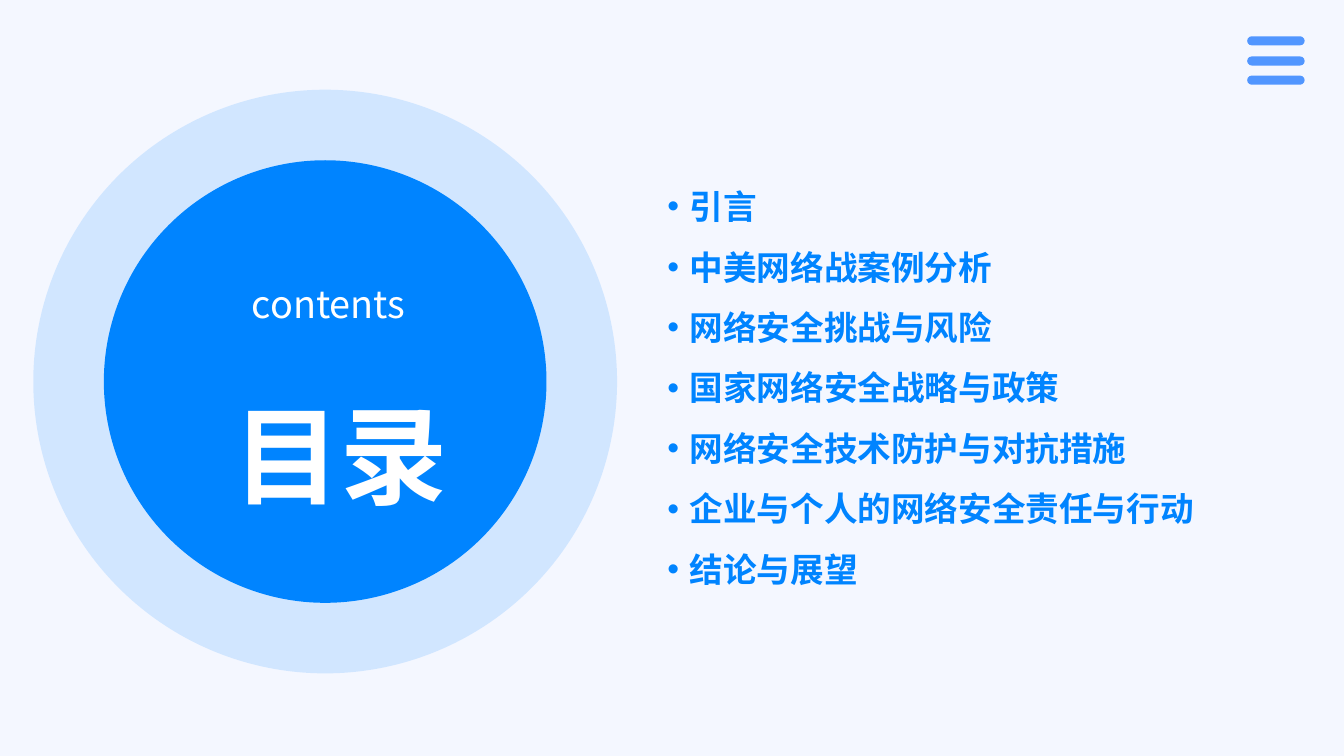
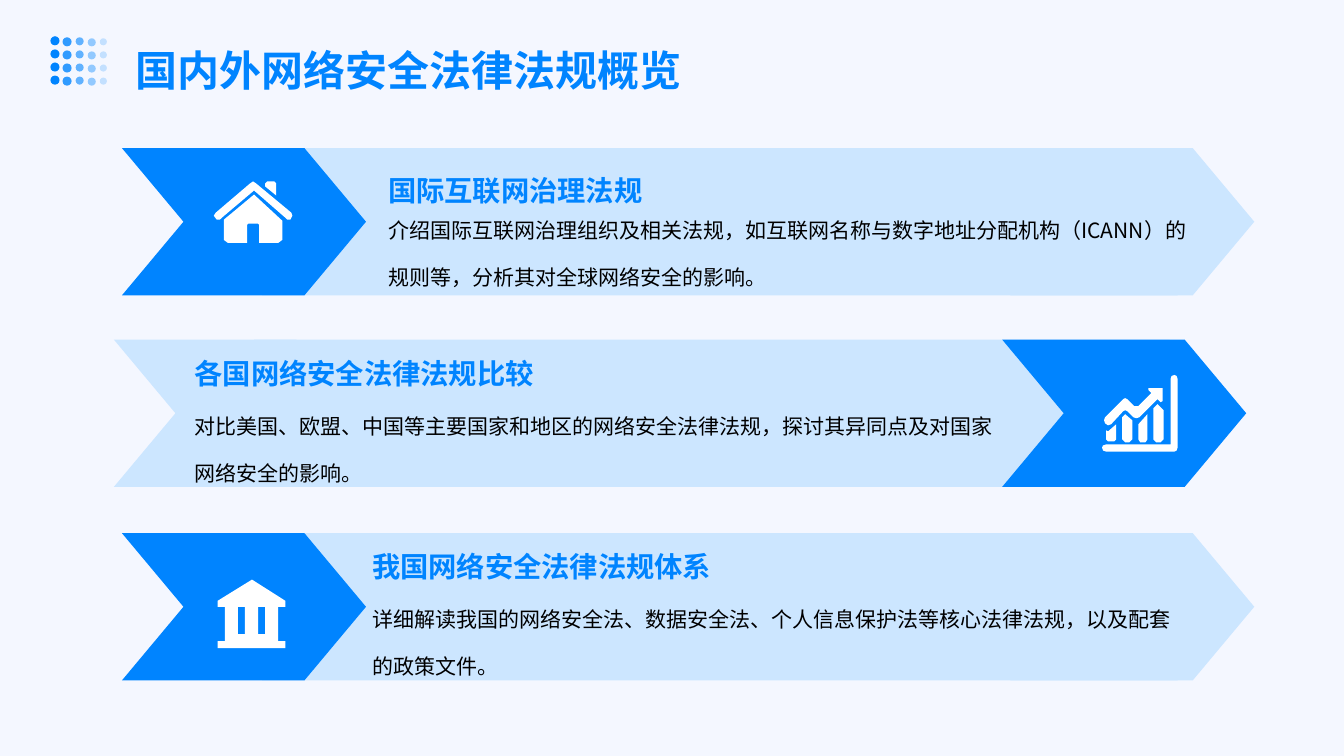
from dataclasses import dataclass

from lxml.etree import SubElement
from pptx import Presentation
from pptx.dml.color import RGBColor
from pptx.enum.shapes import MSO_SHAPE
from pptx.enum.text import MSO_ANCHOR, MSO_AUTO_SIZE, PP_ALIGN
from pptx.oxml.ns import qn
from pptx.presentation import Presentation as Deck
from pptx.shapes.autoshape import Shape
from pptx.slide import Slide
from pptx.util import Emu, Pt

PX = 9144


@dataclass(frozen=True)
class Theme:
    font: str = "Noto Sans CJK SC"
    background: str = "F4F7FF"
    primary: str = "0084FF"
    pale: str = "CCE6FF"
    menu: str = "5196FF"
    white: str = "FFFFFF"
    black: str = "000000"
    display_size: float = 76.5
    title_size: float = 30
    caption_size: float = 27
    list_size: float = 24
    heading_size: float = 20.2
    body_size: float = 15


THEME = Theme()


@dataclass(frozen=True)
class Box:
    left: int
    top: int
    width: int
    height: int

    def emu(self) -> tuple[Emu, ...]:
        return tuple(Emu(value * PX) for value in (self.left, self.top, self.width, self.height))


@dataclass(frozen=True)
class TextStyle:
    size: float
    color: str
    spacing: float
    bold: bool = False
    align: PP_ALIGN = PP_ALIGN.LEFT
    anchor: MSO_ANCHOR = MSO_ANCHOR.TOP
    insets: tuple[int, int, int, int] = (14, 14, 6, 14)
    grow: bool = True
    bullet: bool = False


CARD_INSETS = (7, 4, 7, 4)
TITLE = TextStyle(THEME.title_size, THEME.primary, 1.4, bold=True)
DISPLAY = TextStyle(THEME.display_size, THEME.white, 1.86, bold=True, align=PP_ALIGN.CENTER)
CAPTION = TextStyle(THEME.caption_size, THEME.white, 1.86, align=PP_ALIGN.CENTER)
AGENDA = TextStyle(
    THEME.list_size, THEME.primary, 1.5, bold=True, anchor=MSO_ANCHOR.MIDDLE, bullet=True
)
HEADING = TextStyle(
    THEME.heading_size, THEME.primary, 1.5, bold=True,
    anchor=MSO_ANCHOR.BOTTOM, insets=CARD_INSETS, grow=False,
)
HEADING_MIDDLE = TextStyle(
    THEME.heading_size, THEME.primary, 1.5, bold=True,
    anchor=MSO_ANCHOR.MIDDLE, insets=CARD_INSETS, grow=False,
)
BODY = TextStyle(
    THEME.body_size, THEME.black, 1.86,
    anchor=MSO_ANCHOR.MIDDLE, insets=CARD_INSETS, grow=False,
)

Points = tuple[tuple[int, int], ...]


def rectangle(left: int, top: int, right: int, bottom: int) -> Points:
    return (left, top), (right, top), (right, bottom), (left, bottom)


HOUSE: tuple[Points, ...] = (
    ((263, 182), (265, 180), (272, 180), (274, 182), (274, 194), (263, 185)),
    (
        (248, 182), (251, 180), (254, 182), (289, 211), (290, 214), (288, 218), (285, 218),
        (283, 216), (252, 189), (220, 216), (218, 218), (215, 218), (212, 214), (214, 211),
    ),
    (
        (222, 218), (252, 193), (280, 219), (280, 238), (276, 241), (257, 241),
        (257, 223), (256, 222), (246, 222), (245, 223), (245, 241), (226, 241), (222, 238),
    ),
)
GROWTH: tuple[Points, ...] = (
    ((1097, 427), (1099, 428), (1107, 421), (1107, 436), (1105, 438), (1099, 438), (1097, 436)),
    ((1113, 414), (1116, 411), (1123, 417), (1123, 436), (1120, 439), (1116, 439), (1113, 436)),
    ((1129, 421), (1138, 411), (1138, 436), (1136, 439), (1131, 439), (1129, 436)),
    ((1144, 405), (1148, 401), (1154, 407), (1154, 436), (1151, 439), (1147, 439), (1144, 436)),
    (
        (1095, 417), (1096, 414), (1114, 396), (1116, 395), (1118, 396), (1125, 403),
        (1129, 403), (1142, 390), (1139, 387), (1139, 385), (1153, 385), (1153, 398),
        (1151, 399), (1148, 396), (1130, 414), (1127, 415), (1124, 414), (1118, 408),
        (1116, 407), (1114, 408), (1102, 421), (1099, 422), (1096, 420),
    ),
    (
        (1161, 376), (1162, 373), (1165, 372), (1167, 373), (1168, 376), (1168, 444),
        (1167, 447), (1165, 448), (1097, 448), (1094, 447), (1093, 444), (1094, 442),
        (1097, 441), (1161, 441),
    ),
)
BANK: tuple[Points, ...] = (
    ((216, 596), (250, 575), (283, 596), (283, 602), (216, 602)),
    rectangle(216, 636, 283, 643),
    rectangle(223, 629, 276, 636),
    *(rectangle(left, 602, left + 13, 629) for left in (223, 243, 263)),
)


@dataclass(frozen=True)
class Banner:
    left: int
    top: int
    icon: tuple[Points, ...]
    icon_first: bool
    text_left: int
    heading_top: int
    heading_style: TextStyle
    body_top: int
    heading: str
    body: str


BANNERS = (
    Banner(
        121, 147, HOUSE, True, 378, 153, HEADING_MIDDLE, 194, "国际互联网治理法规",
        "介绍国际互联网治理组织及相关法规，如互联网名称与数字地址分配机构（ICANN）的规则等，分析其对全球网络安全的影响。",
    ),
    Banner(
        113, 337, GROWTH, False, 186, 337, HEADING, 388, "各国网络安全法律法规比较",
        "对比美国、欧盟、中国等主要国家和地区的网络安全法律法规，探讨其异同点及对国家网络安全的影响。",
    ),
    Banner(
        121, 529, BANK, True, 362, 529, HEADING, 580, "我国网络安全法律法规体系",
        "详细解读我国的网络安全法、数据安全法、个人信息保护法等核心法律法规，以及配套的政策文件。",
    ),
)

AGENDA_ITEMS = (
    "引言",
    "中美网络战案例分析",
    "网络安全挑战与风险",
    "国家网络安全战略与政策",
    "网络安全技术防护与对抗措施",
    "企业与个人的网络安全责任与行动",
    "结论与展望",
)


def paint(shape: Shape, color: str, opacity: int = 100) -> None:
    shape.shadow.inherit = False
    shape.line.fill.background()
    shape.fill.solid()
    shape.fill.fore_color.rgb = RGBColor.from_string(color)
    if opacity < 100:
        swatch = shape.fill._xPr.find(qn("a:solidFill"))[0]
        SubElement(swatch, qn("a:alpha")).set("val", str(opacity * 1000))


def add_preset(
    page: Slide, kind: MSO_SHAPE, box: Box, color: str,
    opacity: int = 100, adjustment: float | None = None,
) -> None:
    shape = page.shapes.add_shape(kind, *box.emu())
    if adjustment is not None:
        shape.adjustments[0] = adjustment
    paint(shape, color, opacity)


def add_icon(page: Slide, contours: tuple[Points, ...]) -> None:
    builder = page.shapes.build_freeform(*contours[0][0], scale=PX)
    builder.add_line_segments(contours[0][1:], close=True)
    for contour in contours[1:]:
        builder.move_to(*contour[0])
        builder.add_line_segments(contour[1:], close=True)
    paint(builder.convert_to_shape(), THEME.white)


def add_text(page: Slide, box: Box, style: TextStyle, *lines: str) -> None:
    frame = page.shapes.add_textbox(*box.emu()).text_frame
    frame.word_wrap = True
    frame.auto_size = MSO_AUTO_SIZE.SHAPE_TO_FIT_TEXT if style.grow else MSO_AUTO_SIZE.NONE
    frame.vertical_anchor = style.anchor
    frame.margin_left, frame.margin_top, frame.margin_right, frame.margin_bottom = (
        Emu(inset * PX) for inset in style.insets
    )
    frame.text = "\n".join(lines)
    for para in frame.paragraphs:
        para.alignment = style.align
        para.line_spacing = style.spacing
        if style.bullet:
            properties = para._p.get_or_add_pPr()
            properties.set("marL", str(22 * PX))
            properties.set("indent", str(-22 * PX))
            SubElement(properties, qn("a:buFont")).set("typeface", "Arial")
            SubElement(properties, qn("a:buChar")).set("char", "•")
        for span in para.runs:
            span.font.size = Pt(style.size)
            span.font.bold = style.bold
            span.font.color.rgb = RGBColor.from_string(style.color)
            span.font.name = THEME.font
            SubElement(span._r.get_or_add_rPr(), qn("a:ea")).set("typeface", THEME.font)


def add_page(deck: Deck) -> Slide:
    page = deck.slides.add_slide(deck.slide_layouts[6])
    page.background.fill.solid()
    page.background.fill.fore_color.rgb = RGBColor.from_string(THEME.background)
    return page


def add_menu_mark(page: Slide) -> None:
    for top in (36, 56, 75):
        add_preset(
            page, MSO_SHAPE.ROUNDED_RECTANGLE, Box(1237, top, 57, 9), THEME.menu, adjustment=0.5
        )


def add_dot_grid(page: Slide) -> None:
    for row in range(4):
        for column in range(5):
            size = 9 - column // 2
            left = 50 + round(12.3 * column)
            top = 36 + 13 * row + (column + 1) // 2
            add_preset(
                page, MSO_SHAPE.OVAL, Box(left, top, size, size),
                THEME.primary, opacity=100 - 20 * column,
            )


def add_banner(page: Slide, banner: Banner) -> None:
    height, chevron_width = 146, 242
    add_preset(
        page, MSO_SHAPE.RECTANGLE, Box(banner.left + 139, banner.top, 908, height), THEME.pale
    )
    for offset, highlighted in ((0, banner.icon_first), (881, not banner.icon_first)):
        add_preset(
            page, MSO_SHAPE.CHEVRON,
            Box(banner.left + offset, banner.top, chevron_width, height),
            THEME.primary if highlighted else THEME.pale, adjustment=61 / height,
        )
    add_icon(page, banner.icon)
    add_text(page, Box(banner.text_left, banner.body_top, 807, 94), BODY, banner.body)
    add_text(
        page, Box(banner.text_left, banner.heading_top, 807, 54),
        banner.heading_style, banner.heading,
    )


def build_contents(deck: Deck) -> None:
    page = add_page(deck)
    add_preset(page, MSO_SHAPE.OVAL, Box(33, 89, 579, 579), THEME.primary, opacity=14)
    add_preset(page, MSO_SHAPE.OVAL, Box(103, 159, 439, 439), THEME.primary)
    add_text(page, Box(135, 263, 397, 276), DISPLAY, "目录")
    add_text(page, Box(153, 226, 338, 114), CAPTION, "contents")
    add_text(page, Box(648, 111, 635, 527), AGENDA, *AGENDA_ITEMS)
    add_menu_mark(page)


def build_regulations(deck: Deck) -> None:
    page = add_page(deck)
    add_dot_grid(page)
    add_text(page, Box(120, 10, 1094, 100), TITLE, "国内外网络安全法律法规概览")
    for banner in BANNERS:
        add_banner(page, banner)


def main() -> None:
    deck = Presentation()
    deck.slide_width, deck.slide_height = Emu(1333 * PX), Emu(750 * PX)
    build_contents(deck)
    build_regulations(deck)
    deck.save("out.pptx")


if __name__ == "__main__":
    main()
